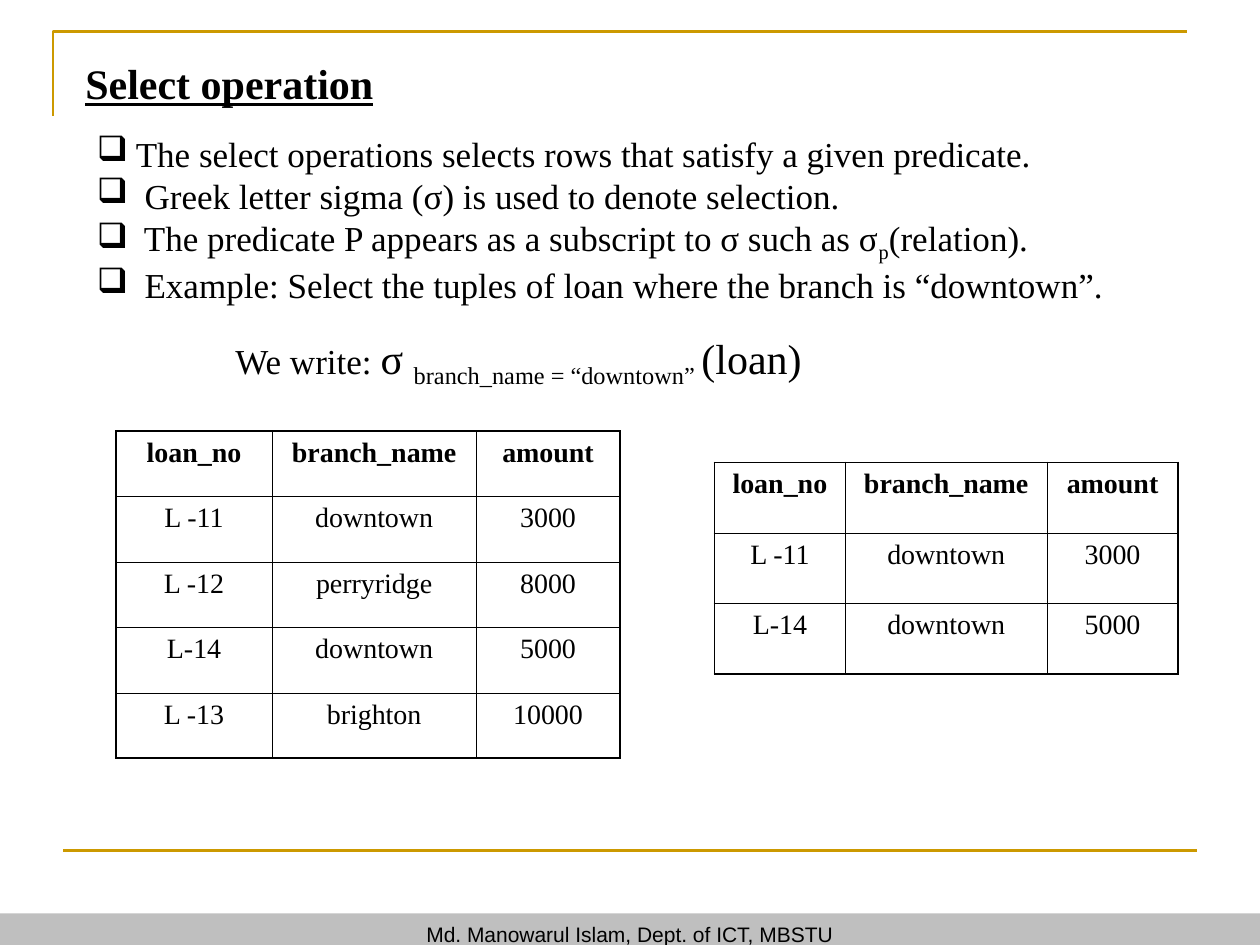
import pptx
import pptx.dml.color
import pptx.enum.shapes
import pptx.enum.text
import pptx.oxml
import pptx.oxml.ns
import pptx.util
from pptx.util import Inches

SERIF = "Times New Roman"
BLACK = "000000"
GOLD = "CC9900"
BODY = {"name": SERIF, "size": pptx.util.Pt(20)}
FORMULA = {"name": SERIF, "size": pptx.util.Pt(24)}
TITLE = {**FORMULA, "bold": True, "underline": True}
CELL = {"name": SERIF, "size": pptx.util.Pt(16)}
HEADER = {**CELL, "bold": True}
FOOTER = {"name": "Arial", "size": pptx.util.Pt(12)}

BULLETS = [
    [("The select operations selects rows that satisfy a given predicate.", 0)],
    [(" Greek letter sigma (σ) is used to denote selection.", 0)],
    [(" The predicate P appears as a subscript to σ such as σ", 0), ("p", -25), ("(relation).", 0)],
    [(" Example: Select the tuples of loan where the branch is “downtown”.", 0)],
]
COLUMNS = ["loan_no", "branch_name", "amount"]
LOANS = [
    COLUMNS,
    ["L -11", "downtown", "3000"],
    ["L -12", "perryridge", "8000"],
    ["L-14", "downtown", "5000"],
    ["L -13", "brighton", "10000"],
]
SELECTED_LOANS = [row for row in LOANS if row[1] in ("branch_name", "downtown")]


def color(value):
    """Turn a hex string into a colour."""
    return pptx.dml.color.RGBColor.from_string(value)


def add_xml(parent, markup):
    """Append a drawing element written as markup and return it."""
    namespace = pptx.oxml.ns.nsdecls("a")
    element = pptx.oxml.parse_xml(markup.replace("XMLNS", namespace, 1))
    parent.append(element)
    return element


def add_span(para, text, formats, baseline=0):
    """Add formatted text, lowered when the baseline percentage is negative."""
    span = para.add_run()
    span.text = text
    for name, value in formats.items():
        setattr(span.font, name, value)
    span.font.color.rgb = color(BLACK)
    if baseline:
        span._r.get_or_add_rPr().set("baseline", str(baseline * 1000))


def set_indent(para, left, first=0):
    """Set the left margin and first-line indent of a paragraph."""
    properties = para._p.get_or_add_pPr()
    properties.set("marL", str(Inches(left)))
    properties.set("indent", str(Inches(first)))
    return properties


def add_text_box(page, left, top, width, height):
    """Add a wrapping text box and return its text frame."""
    frame = page.shapes.add_textbox(Inches(left), Inches(top), Inches(width), Inches(height)).text_frame
    frame.word_wrap = True
    frame.auto_size = pptx.enum.text.MSO_AUTO_SIZE.SHAPE_TO_FIT_TEXT
    return frame


def add_frame_lines(page):
    """Draw the corner bracket and the rule above the footer."""
    builder = page.shapes.build_freeform(Inches(0.42), Inches(0.92))
    builder.add_line_segments([(Inches(0.42), Inches(0.25)), (Inches(9.42), Inches(0.25))], close=False)
    bracket = builder.convert_to_shape()
    bracket.shadow.inherit = False
    bracket.fill.background()
    rule = page.shapes.add_connector(
        pptx.enum.shapes.MSO_CONNECTOR.STRAIGHT, Inches(0.5), Inches(6.75), Inches(9.5), Inches(6.75))
    add_xml(rule._element.spPr, "<a:effectLst XMLNS/>")
    for shape in (bracket, rule):
        shape.line.color.rgb = color(GOLD)
        shape.line.width = pptx.util.Pt(1.5)


def add_footer(page, text):
    """Draw the grey footer band with its centred text."""
    band = page.shapes.add_shape(
        pptx.enum.shapes.MSO_SHAPE.RECTANGLE, 0, Inches(7.25), Inches(10), Inches(0.33))
    band.shadow.inherit = False
    band.fill.solid()
    band.fill.fore_color.rgb = color("BFBFBF")
    band.line.fill.background()
    band.text_frame.vertical_anchor = pptx.enum.text.MSO_ANCHOR.MIDDLE
    para = band.text_frame.paragraphs[0]
    para.alignment = pptx.enum.text.PP_ALIGN.CENTER
    add_span(para, text, FOOTER)


def add_body(page):
    """Add the bulleted explanation followed by the formula."""
    frame = add_text_box(page, 0.67, 1, 9.33, 2.87)
    for index, spans in enumerate(BULLETS):
        para = frame.add_paragraph() if index else frame.paragraphs[0]
        add_xml(set_indent(para, 0.31, -0.31), '<a:buChar XMLNS char="❑"/>')
        for text, baseline in spans:
            add_span(para, text, BODY, baseline)
    formula = frame.add_paragraph()
    formula.space_before = pptx.util.Pt(15)
    set_indent(formula, 1.1)
    add_span(formula, "We write: ", BODY)
    add_span(formula, "σ ", FORMULA)
    add_span(formula, "branch_name = “downtown” ", FORMULA, -25)
    add_span(formula, "(loan)", FORMULA)


def set_borders(cell, outer_sides):
    """Draw thick outer and thin inner borders around a cell."""
    properties = cell._tc.get_or_add_tcPr()
    for side in "LRTB":
        width = pptx.util.Pt(1.08 if side in outer_sides else 0.45)
        add_xml(properties, f'<a:ln{side} XMLNS w="{width}"><a:solidFill>'
                            f'<a:srgbClr val="{BLACK}"/></a:solidFill></a:ln{side}>')


def add_loan_table(page, left, top, widths, row_height, rows):
    """Add a bordered table with a bold header row."""
    last_row, last_column = len(rows) - 1, len(widths) - 1
    table = page.shapes.add_table(
        len(rows), len(widths), Inches(left), Inches(top),
        Inches(sum(widths)), Inches(row_height * len(rows))).table
    table.first_row = table.horz_banding = False
    for column, width in zip(table.columns, widths):
        column.width = Inches(width)
    for r, values in enumerate(rows):
        table.rows[r].height = Inches(row_height)
        for c, value in enumerate(values):
            cell = table.cell(r, c)
            edges = {"L": c == 0, "R": c == last_column, "T": r == 0, "B": r == last_row}
            set_borders(cell, [side for side, is_outer in edges.items() if is_outer])
            cell.fill.solid()
            cell.fill.fore_color.rgb = color("FFFFFF")
            para = cell.text_frame.paragraphs[0]
            para.alignment = pptx.enum.text.PP_ALIGN.CENTER
            add_span(para, value, CELL if r else HEADER)


def main():
    """Build the select operation slide."""
    deck = pptx.Presentation()
    deck.slide_width, deck.slide_height = Inches(10), Inches(7.5)
    page = deck.slides.add_slide(deck.slide_layouts[6])
    add_frame_lines(page)
    add_footer(page, "Md. Manowarul Islam, Dept. of ICT, MBSTU")
    add_body(page)
    title = add_text_box(page, 0.58, 0.41, 4.17, 0.5)
    add_span(title.paragraphs[0], "Select operation", TITLE)
    add_loan_table(page, 0.92, 3.42, [1.24, 1.62, 1.14], 0.52, LOANS)
    add_loan_table(page, 5.67, 3.67, [1.04, 1.6, 1.04], 0.56, SELECTED_LOANS)
    deck.save("out.pptx")


if __name__ == "__main__":
    main()
